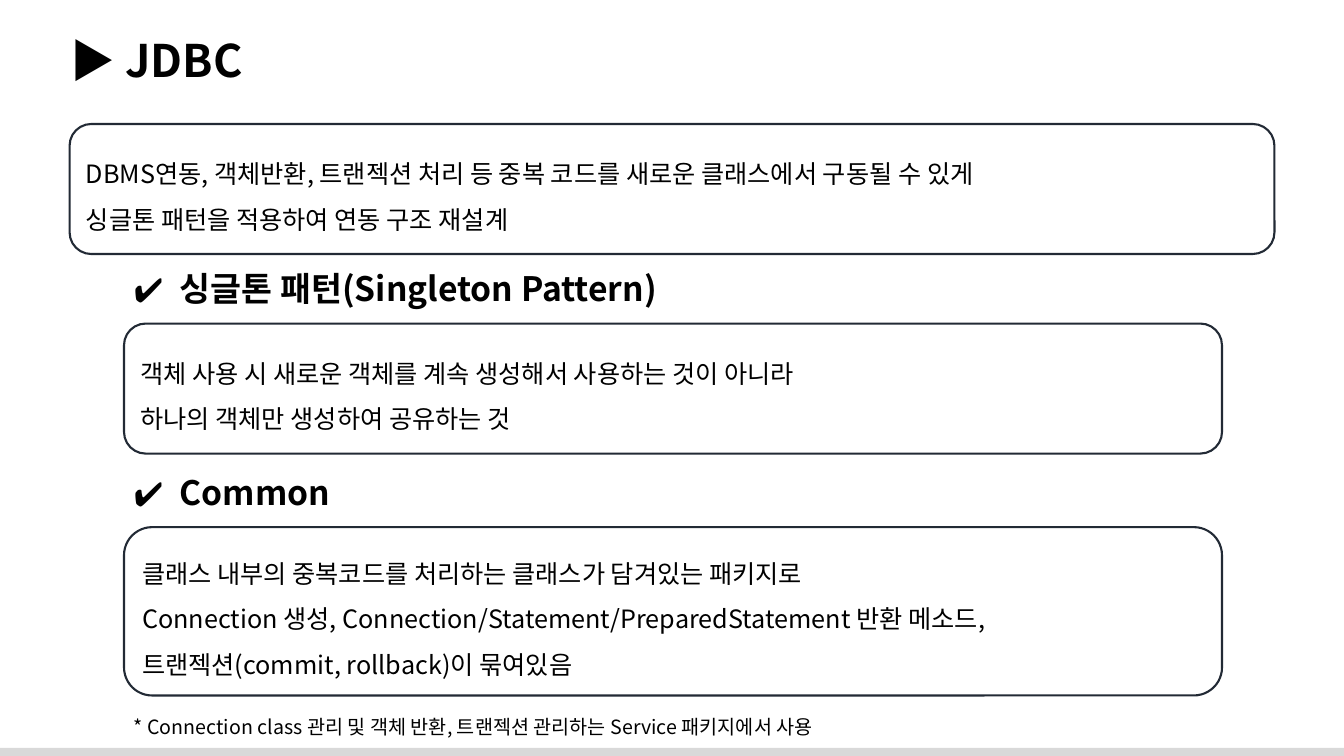
"""Build the JDBC slide with its outlined explanation boxes."""
from lxml.etree import SubElement
from pptx import Presentation
from pptx.dml.color import RGBColor
from pptx.enum.shapes import MSO_SHAPE as Shape
from pptx.enum.text import MSO_ANCHOR as Anchor, MSO_AUTO_SIZE as AutoSize, PP_ALIGN as Align
from pptx.oxml.ns import qn
from pptx.util import Inches, Pt

TITLE = "▶ JDBC"
SUMMARY = [
    "DBMS연동, 객체반환, 트랜젝션 처리 등 중복 코드를 새로운 클래스에서 구동될 수 있게",
    "싱글톤 패턴을 적용하여 연동 구조 재설계",
]
SECTIONS = [
    {"heading": " 싱글톤 패턴(Singleton Pattern)", "top": 2.61, "width": 5.55, "height": 1.29,
     "lines": ["객체 사용 시 새로운 객체를 계속 생성해서 사용하는 것이 아니라",
               "하나의 객체만 생성하여 공유하는 것"]},
    {"heading": " Common", "top": 4.63, "width": 2.16, "height": 1.67,
     "lines": ["클래스 내부의 중복코드를 처리하는 클래스가 담겨있는 패키지로",
               "Connection 생성, Connection/Statement/PreparedStatement 반환 메소드,",
               "트랜젝션(commit, rollback)이 묶여있음"]},
]
FOOTNOTE = "* Connection class 관리 및 객체 반환, 트랜젝션 관리하는 Service 패키지에서 사용"

FONT = "Noto Sans CJK KR"
BLACK = RGBColor(0, 0, 0)
NAVY = RGBColor(0x22, 0x2A, 0x35)
GRAY = RGBColor(0xD9, 0xD9, 0xD9)
WIDTH, HEIGHT = 13.33, 7.5
INDENT = 1.23
HEADING_HEIGHT, HEADING_STEP = 0.5, 0.6


def write(shape, lines, size, bold=False, spacing=None):
    frame = shape.text_frame
    frame.word_wrap = True
    frame.text = "\n".join(lines)
    for para in frame.paragraphs:
        para.alignment = Align.LEFT
        if spacing:
            para.line_spacing = spacing
        for span in para.runs:
            font = span.font
            font.name, font.size, font.bold = FONT, Pt(size), bold
            font.color.rgb = BLACK
            SubElement(font._element, qn("a:ea"), typeface=FONT)


def add_label(page, area, text, size, bold=False, spacing=None):
    box = page.shapes.add_textbox(*map(Inches, area))
    write(box, [text], size, bold, spacing)
    box.text_frame.auto_size = AutoSize.SHAPE_TO_FIT_TEXT
    return box


def add_check(box):
    props = box.text_frame.paragraphs[0]._p.get_or_add_pPr()
    props.set("marL", str(Inches(0.38)))
    props.set("indent", str(-Inches(0.38)))
    color = SubElement(props, qn("a:buClr"))
    SubElement(color, qn("a:srgbClr"), val=str(BLACK))
    SubElement(props, qn("a:buFont"), typeface=FONT)
    SubElement(props, qn("a:buChar"), char="✔")


def add_panel(page, area, lines):
    panel = page.shapes.add_shape(Shape.ROUNDED_RECTANGLE, *map(Inches, area))
    panel.shadow.inherit = False
    panel.fill.background()
    panel.line.color.rgb = NAVY
    panel.line.width = Pt(1.5)
    panel.text_frame.vertical_anchor = Anchor.MIDDLE
    write(panel, lines, 18, spacing=1.5)


def add_footer_band(page):
    band = page.shapes.add_shape(
        Shape.RECTANGLE, *map(Inches, (-0.03, 7.42, WIDTH + 0.06, 0.11)))
    band.shadow.inherit = False
    band.fill.solid()
    band.fill.fore_color.rgb = GRAY
    band.line.fill.background()


def main():
    deck = Presentation()
    deck.slide_width, deck.slide_height = Inches(WIDTH), Inches(HEIGHT)
    page = deck.slides.add_slide(deck.slide_layouts[6])
    add_footer_band(page)
    add_label(page, (0.6, 0.28, 12.6, 0.64), TITLE, 32, bold=True)
    add_panel(page, (0.69, 1.23, 11.95, 1.29), SUMMARY)
    for section in SECTIONS:
        top = section["top"]
        area = (INDENT, top, section["width"], HEADING_HEIGHT)
        add_check(add_label(page, area, section["heading"], 24, bold=True))
        area = (INDENT, top + HEADING_STEP, 10.89, section["height"])
        add_panel(page, area, section["lines"])
    add_label(page, (INDENT, 6.93, 7.47, 0.41), FOOTNOTE, 14, spacing=1.5)
    deck.save("out.pptx")


if __name__ == "__main__":
    main()
